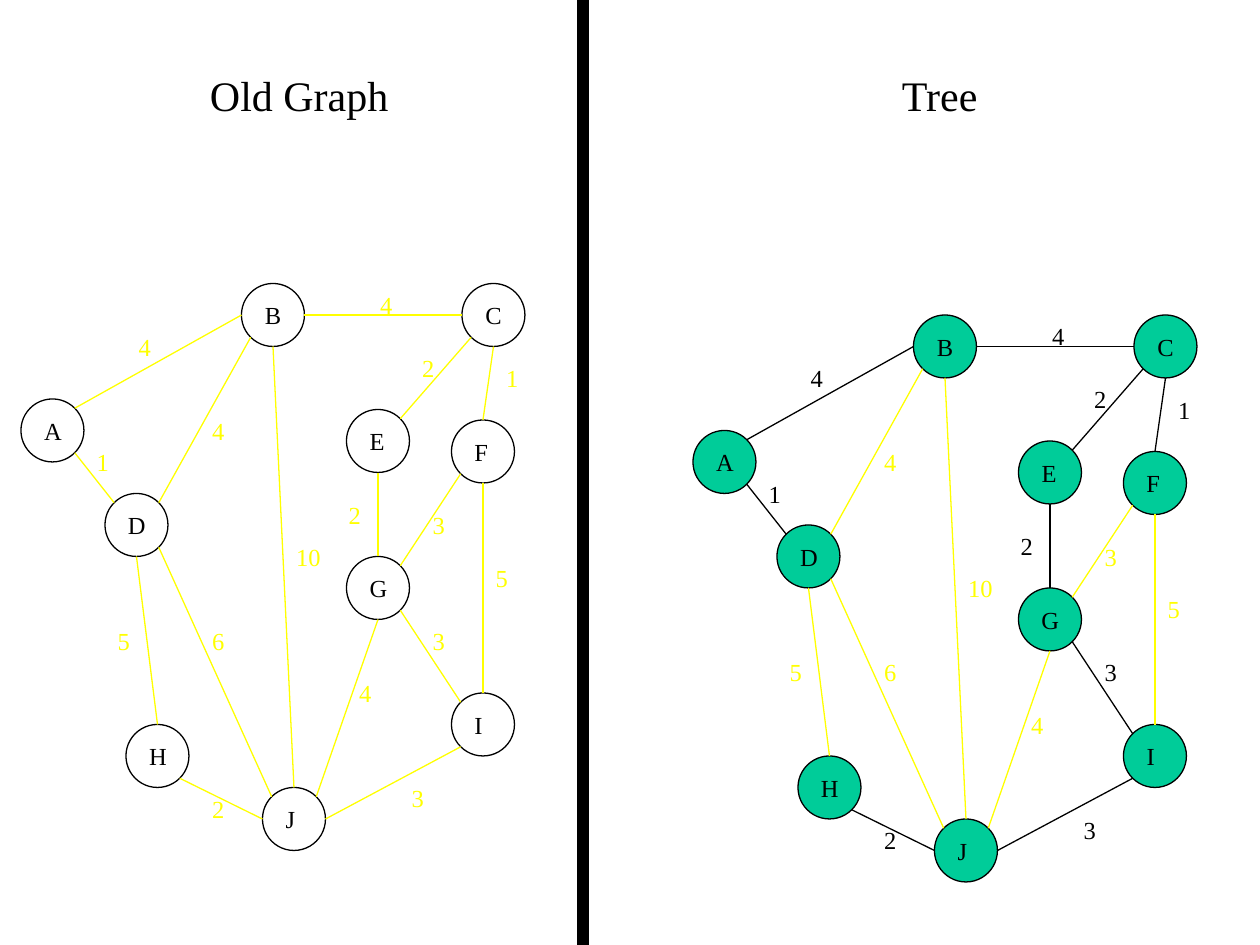
from math import cos, radians, sin

from lxml import etree
from pptx import Presentation
from pptx import util as u
from pptx.dml.color import RGBColor
from pptx.enum import shapes, text
from pptx.oxml.ns import qn

FONT = "Times New Roman"
BLACK, YELLOW, GREEN = "000000", "FFFF00", "00CC99"
DIAMETER = 36
COMPASS = {"E": 0, "SE": 45, "S": 90, "SW": 135, "W": 180, "NW": 225, "N": 270, "NE": 315}

NODES = {
    "A": (12, 228, 24.5),
    "B": (138, 162, 24),
    "C": (264, 162, 24),
    "D": (60, 282, 24.5),
    "E": (198, 234, 23),
    "F": (258, 240, 22),
    "G": (198, 318, 24.5),
    "H": (72, 414, 24.5),
    "I": (258, 396, 19),
    "J": (150, 450, 20),
}

EDGES = [
    ("B", "E", "C", "W", "4", 210, 162, True),
    ("B", "SW", "D", "NE", "4", 114, 234, False),
    ("D", "SE", "J", "NW", "6", 114, 354, False),
    ("J", "NE", "G", "S", "4", 198, 384, False),
    ("F", "SW", "G", "NE", "3", 240, 288, False),
    ("E", "S", "G", "N", "2", 192, 282, True),
    ("B", "S", "J", "N", "10", 162, 306, False),
    ("C", "SW", "E", "NE", "2", 234, 198, True),
    ("C", "S", "F", "N", "1", 282, 204, True),
    ("J", "E", "I", "SW", "3", 228, 444, True),
    ("J", "W", "H", "SE", "2", 114, 450, True),
    ("D", "NW", "A", "SE", "1", 48, 252, True),
    ("I", "NW", "G", "SE", "3", 240, 354, True),
    ("F", "S", "I", "N", "5", 276, 318, False),
    ("A", "NE", "B", "W", "4", 72, 186, True),
    ("D", "S", "H", "N", "5", 60, 354, False),
]


def color(value):
    """Turn a hex string into a colour."""
    return RGBColor.from_string(value)


def add_text(page, wording, left, top, width, height, size=14, ink=BLACK, wrap=False):
    """Add a centred text box that grows with its text."""
    box = page.shapes.add_textbox(u.Pt(left), u.Pt(top), u.Pt(width), u.Pt(height))
    frame = box.text_frame
    frame.text = wording
    frame.word_wrap = wrap
    frame.auto_size = text.MSO_AUTO_SIZE.SHAPE_TO_FIT_TEXT
    para = frame.paragraphs[0]
    para.alignment = text.PP_ALIGN.CENTER
    span = para.runs[0]
    span.font.name = FONT
    span.font.size = u.Pt(size)
    span.font.color.rgb = color(ink)


def add_outlined(page, kind, left, top, width, height, fill=None):
    """Add a preset shape with a thin black outline."""
    shape = page.shapes.add_shape(kind, u.Pt(left), u.Pt(top), u.Pt(width), u.Pt(height))
    shape.shadow.inherit = False
    if fill:
        shape.fill.solid()
        shape.fill.fore_color.rgb = color(fill)
    else:
        shape.fill.background()
    shape.line.color.rgb = color(BLACK)
    shape.line.width = u.Pt(0.75)


def rim_point(name, side):
    """Give the point on a node's rim that faces a compass side."""
    left, top, _ = NODES[name]
    radius = DIAMETER / 2
    angle = radians(COMPASS[side])
    return left + radius * (1 + cos(angle)), top + radius * (1 + sin(angle))


def add_edge(page, start, end, ink):
    """Draw a thin straight line between two points."""
    ends = [u.Pt(value) for value in (*start, *end)]
    line = page.shapes.add_connector(shapes.MSO_CONNECTOR.STRAIGHT, *ends)
    line.line.color.rgb = color(ink)
    line.line.width = u.Pt(0.75)
    etree.SubElement(line._element.spPr, qn("a:effectLst"))


def add_graph(page, dx, dy, fill, tree_ink):
    """Draw the weighted graph, shifted, with its tree edges in their own colour."""
    for left, top, _ in NODES.values():
        add_outlined(page, shapes.MSO_SHAPE.OVAL, left + dx, top + dy, DIAMETER, DIAMETER, fill)
    for first, first_side, second, second_side, weight, left, top, in_tree in EDGES:
        ink = tree_ink if in_tree else YELLOW
        start, end = [
            (x + dx, y + dy)
            for x, y in (rim_point(first, first_side), rim_point(second, second_side))
        ]
        add_edge(page, start, end, ink)
        add_text(page, weight, left + dx, top + dy, 14.5 + 7 * len(weight), 24, ink=ink)
    for name, (left, top, width) in NODES.items():
        add_text(page, name, left + dx + 6, top + dy + 6, width, 24)


def main():
    """Build the slide with the graph and its tree side by side."""
    deck = Presentation()
    deck.slide_width, deck.slide_height = u.Pt(720), u.Pt(540)
    page = deck.slides.add_slide(deck.slide_layouts[6])
    add_graph(page, 0, 0, None, YELLOW)
    add_outlined(page, shapes.MSO_SHAPE.RECTANGLE, 330, 0, 6, 540, BLACK)
    for heading, left in (("Old Graph", 66), ("Tree", 432)):
        add_text(page, heading, left, 36, 210, 36, size=24, wrap=True)
    add_graph(page, 384, 18, GREEN, BLACK)
    deck.save("out.pptx")


if __name__ == "__main__":
    main()
